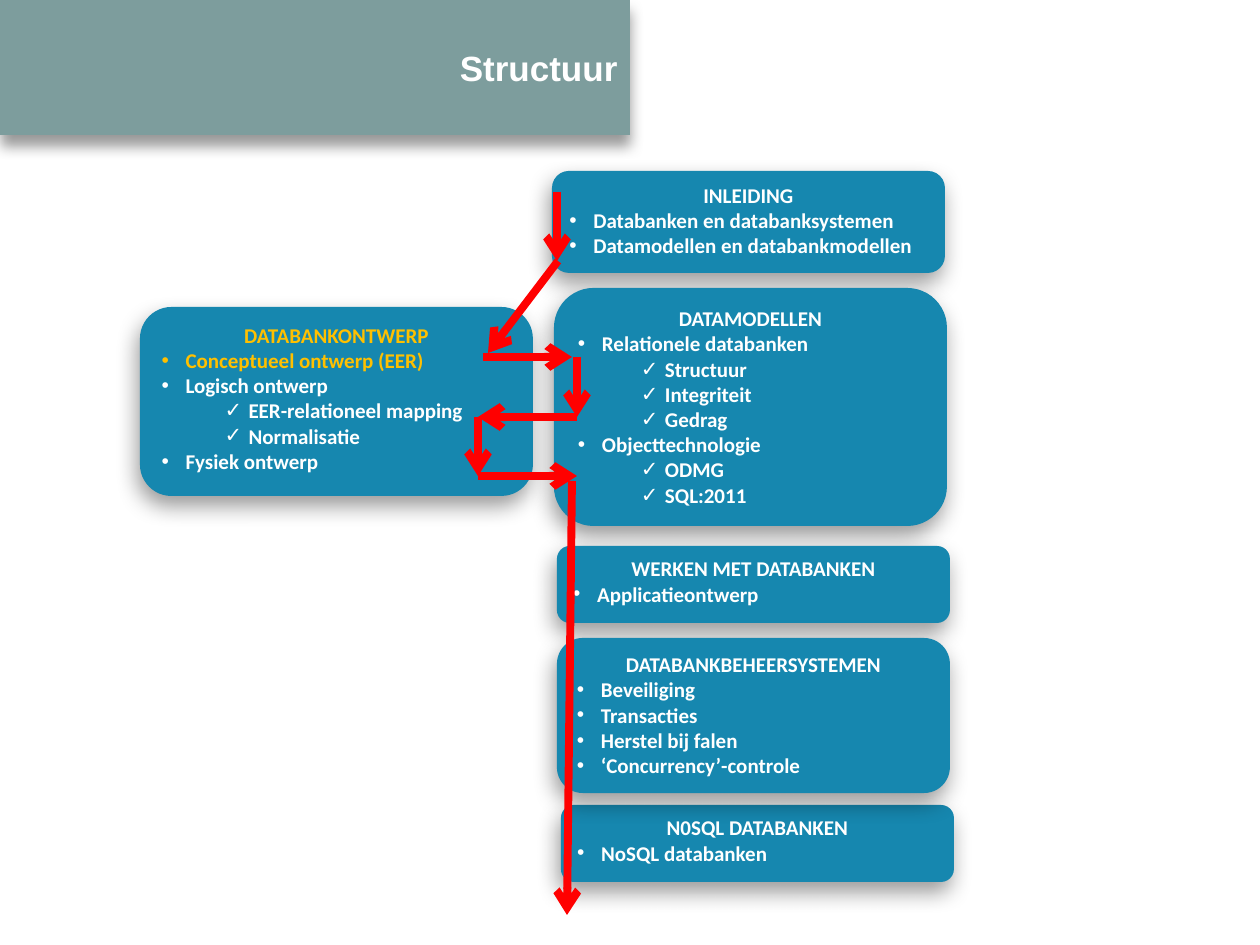
"""Build the course structure slide with topic boxes and the route through them."""
from dataclasses import dataclass

from lxml.etree import SubElement
from pptx import Presentation
from pptx.dml.color import RGBColor
from pptx.enum.shapes import MSO_CONNECTOR, MSO_SHAPE
from pptx.enum.text import MSO_ANCHOR, PP_ALIGN
from pptx.oxml.ns import qn
from pptx.util import Pt

PX = 914400 / 126
SLIDE_SIZE = 1260, 945


@dataclass(frozen=True)
class Theme:
    banner: str = "7D9D9D"
    box: str = "1687AF"
    text: str = "FFFFFF"
    current: str = "FFC000"
    route: str = "FF0000"
    shadow: str = "000000"
    title_font: str = "Arial"
    body_font: str = "Calibri"
    title_size: int = 20
    body_size: int = 12
    route_width: float = 4.5


THEME = Theme()
TITLE = "Structuur"
BANNER = 0, 0, 630, 135
BOX_WIDTH = 393
BULLETS = [("•", 24), ("✓", 87)]
HANGING = 24
CURRENT = {"DATABANKONTWERP", "Conceptueel ontwerp (EER)"}

TOPICS = [
    ("N0SQL DATABANKEN", (561, 805, 77), [(0, "NoSQL databanken")]),
    ("INLEIDING", (552, 171, 102), [
        (0, "Databanken en databanksystemen"),
        (0, "Datamodellen en databankmodellen"),
    ]),
    ("DATABANKONTWERP", (140, 307, 189), [
        (0, "Conceptueel ontwerp (EER)"),
        (0, "Logisch ontwerp"),
        (1, "EER-relationeel mapping"),
        (1, "Normalisatie"),
        (0, "Fysiek ontwerp"),
    ]),
    ("DATAMODELLEN", (554, 288, 238), [
        (0, "Relationele databanken"),
        (1, "Structuur"),
        (1, "Integriteit"),
        (1, "Gedrag"),
        (0, "Objecttechnologie"),
        (1, "ODMG"),
        (1, "SQL:2011"),
    ]),
    ("WERKEN MET DATABANKEN", (557, 546, 77), [(0, "Applicatieontwerp")]),
    ("DATABANKBEHEERSYSTEMEN", (557, 638, 155), [
        (0, "Beveiliging"),
        (0, "Transacties"),
        (0, "Herstel bij falen"),
        (0, "‘Concurrency’-controle"),
    ]),
]

ROUTE = [
    ((558, 261), (488, 353)),
    ((483, 357), (572, 357)),
    ((577, 417), (478, 417)),
    ((478, 476), (577, 476)),
    ((577, 357), (577, 417)),
    ((478, 417), (478, 476)),
    ((572, 481), (567, 915)),
    ((557, 192), (557, 261)),
]


def emu(*lengths):
    return [round(length * PX) for length in lengths]


def add_panel(slide, preset, bounds, color, blur, angle):
    panel = slide.shapes.add_shape(preset, *emu(*bounds))
    panel.fill.solid()
    panel.fill.fore_color.rgb = RGBColor.from_string(color)
    panel.line.fill.background()
    panel.shadow.inherit = False
    effects = panel._element.spPr.find(qn("a:effectLst"))
    shadow = SubElement(effects, qn("a:outerShdw"), blurRad=str(Pt(blur)), dist=str(Pt(6)),
                        dir=str(angle * 60000), algn="ctr", rotWithShape="0")
    tint = SubElement(shadow, qn("a:srgbClr"), val=THEME.shadow)
    SubElement(tint, qn("a:alpha"), val="40000")
    panel.text_frame.word_wrap = True
    return panel.text_frame


def write(paragraph, text, align, font, size, color):
    paragraph.alignment = align
    run = paragraph.add_run()
    run.text = text
    looks = {"name": font, "size": Pt(size), "bold": True}
    for attribute, value in looks.items():
        setattr(run.font, attribute, value)
    run.font.color.rgb = RGBColor.from_string(color)


def add_bullet(paragraph, level):
    mark, margin = BULLETS[level]
    paragraph.level = level
    properties = paragraph._p.get_or_add_pPr()
    left, hanging = emu(margin, -HANGING)
    properties.set("marL", str(left))
    properties.set("indent", str(hanging))
    SubElement(properties, qn("a:buFont"), typeface=THEME.title_font)
    SubElement(properties, qn("a:buChar"), char=mark)


def add_topic(slide, heading, place, items):
    left, top, height = place
    frame = add_panel(slide, MSO_SHAPE.ROUNDED_RECTANGLE,
                      (left, top, BOX_WIDTH, height), THEME.box, 13, 106)
    frame.vertical_anchor = MSO_ANCHOR.TOP
    for level, text in [(None, heading), *items]:
        paragraph = frame.paragraphs[0] if level is None else frame.add_paragraph()
        if level is not None:
            add_bullet(paragraph, level)
        write(paragraph, text, PP_ALIGN.CENTER if level is None else PP_ALIGN.LEFT,
              THEME.body_font, THEME.body_size,
              THEME.current if text in CURRENT else THEME.text)


def add_step(slide, start, end):
    step = slide.shapes.add_connector(MSO_CONNECTOR.STRAIGHT, *emu(*start, *end))
    step.line.color.rgb = RGBColor.from_string(THEME.route)
    step.line.width = Pt(THEME.route_width)
    SubElement(step.line._get_or_add_ln(), qn("a:tailEnd"), type="arrow")
    SubElement(step._element.spPr, qn("a:effectLst"))


def main():
    deck = Presentation()
    deck.slide_width, deck.slide_height = emu(*SLIDE_SIZE)
    slide = deck.slides.add_slide(deck.slide_layouts[6])
    banner = add_panel(slide, MSO_SHAPE.RECTANGLE, BANNER, THEME.banner, 8, 90)
    banner.vertical_anchor = MSO_ANCHOR.MIDDLE
    write(banner.paragraphs[0], TITLE, PP_ALIGN.RIGHT,
          THEME.title_font, THEME.title_size, THEME.text)
    for topic in TOPICS:
        add_topic(slide, *topic)
    for step in ROUTE:
        add_step(slide, *step)
    deck.save("out.pptx")


if __name__ == "__main__":
    main()
